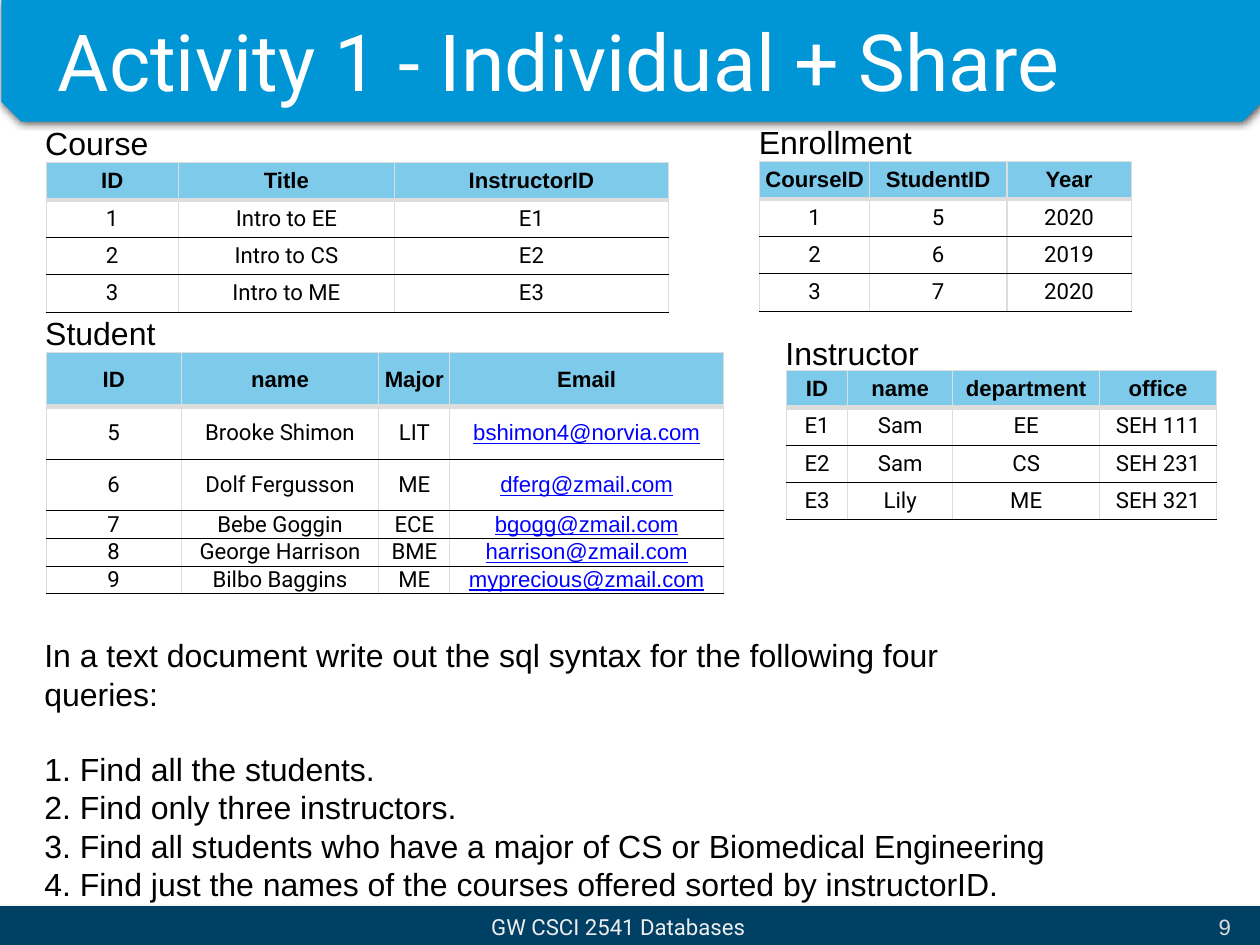
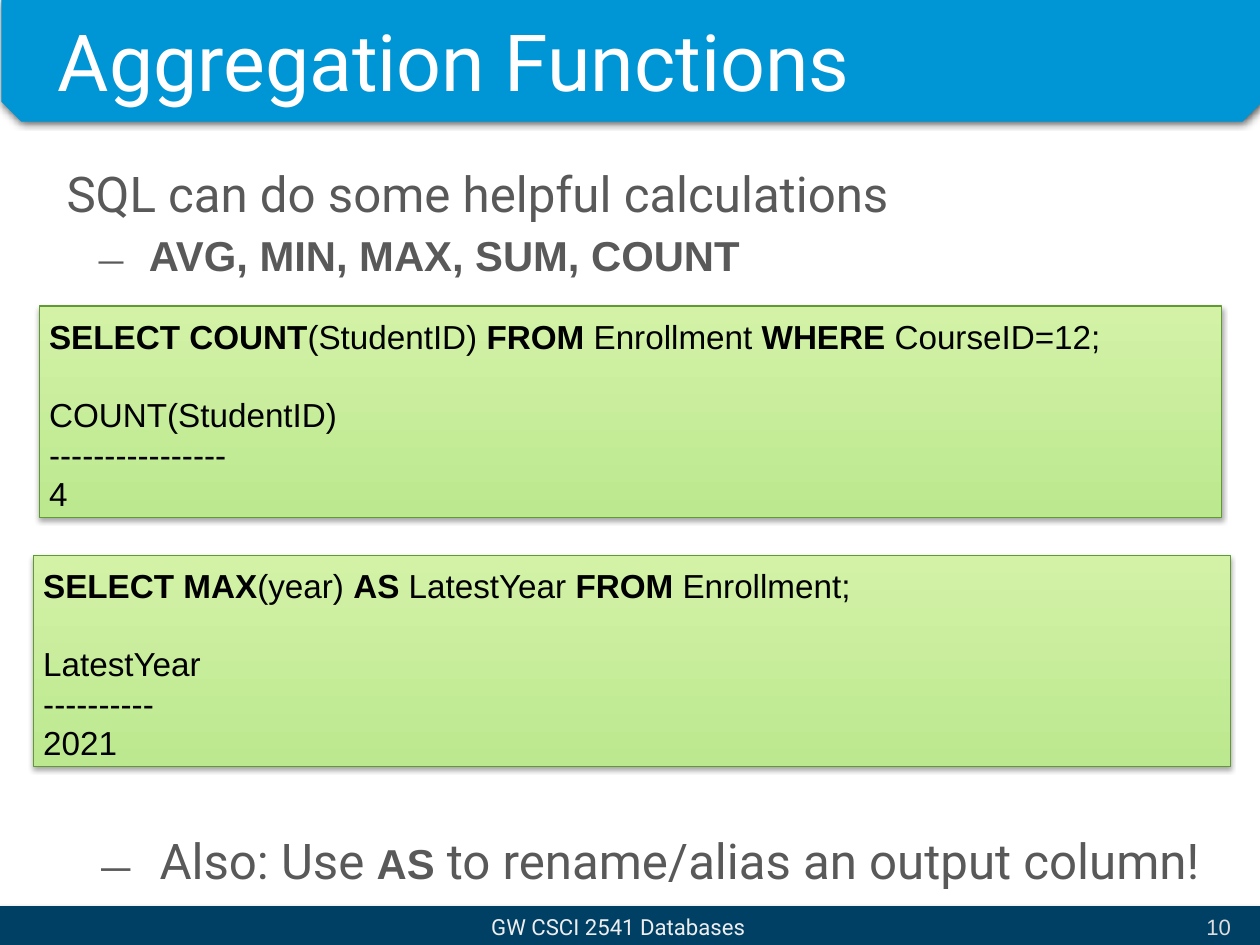
from dataclasses import dataclass

from lxml import etree
from pptx import Presentation
from pptx import util as u
from pptx.dml import color as dml
from pptx.enum import shapes, text
from pptx.oxml import ns

COLUMNS, ROWS = 128, 96
CELL = u.Inches(1) / 9


@dataclass(frozen=True)
class Theme:
    band: str = "0096D6"
    footer: str = "004065"
    footer_text: str = "EEEEEE"
    number: str = "DDDDDD"
    white: str = "FFFFFF"
    black: str = "000000"
    body: str = "595959"
    link: str = "0000FF"
    header: str = "7ECAEA"
    rule: str = "DDDDDD"
    code_bottom: str = "BCE88F"
    code_top: str = "D3F2A6"
    code_line: str = "619935"
    sans: str = "Arial"
    display: str = "Roboto"
    title_size: int = 64
    lead_size: int = 40
    keyword_size: int = 34
    code_size: int = 27
    text_size: int = 26
    small_size: int = 18


THEME = Theme()


def grid(cells):
    return u.Emu(round(cells * CELL))


def rgb(value):
    return dml.RGBColor.from_string(value)


def add_xml(parent, tag, **attributes):
    return etree.SubElement(parent, ns.qn(tag), {k: str(v) for k, v in attributes.items()})


def add_color(parent, value):
    return add_xml(parent, "a:srgbClr", val=value)


def add_shadow(shape, opacity, blur, distance, angle=0):
    shape.shadow.inherit = False
    effects = shape._element.spPr.find(ns.qn("a:effectLst"))
    shadow = add_xml(effects, "a:outerShdw", blurRad=u.Pt(blur), dist=u.Pt(distance),
                     dir=angle * 60000, algn="bl", rotWithShape=0)
    add_xml(add_color(shadow, THEME.black), "a:alpha", val=opacity * 1000)


def paint(shape, fill):
    shape.fill.solid()
    shape.fill.fore_color.rgb = rgb(fill)
    shape.line.color.rgb = rgb(fill)
    shape.line.width = u.Pt(1)


def add_bullet(paragraph, left, hang):
    properties = paragraph._p.get_or_add_pPr()
    properties.set("marL", str(u.Inches(left)))
    properties.set("indent", str(-u.Inches(hang)))
    add_color(add_xml(properties, "a:buClr"), THEME.body)
    add_xml(properties, "a:buFont", typeface=THEME.display)
    add_xml(properties, "a:buChar", char="﹘")


def write(frame, content, size=THEME.text_size, font=THEME.sans, color=THEME.black,
          bold=False, underline=False, align=text.PP_ALIGN.LEFT, before=0, spacing=None,
          bullet=None, strong_size=None):
    paragraph = frame.paragraphs[0] if not frame.text else frame.add_paragraph()
    if bullet:
        add_bullet(paragraph, *bullet)
    paragraph.alignment = align
    if before:
        paragraph.space_before = u.Pt(before)
    if spacing:
        paragraph.line_spacing = spacing
    for index, part in enumerate(content.split("**")):
        if not part:
            continue
        strong = index % 2 == 1
        run = paragraph.add_run()
        run.text = part
        run.font.size = u.Pt(strong_size or size) if strong else u.Pt(size)
        run.font.name = THEME.sans if strong else font
        run.font.bold = bold or strong
        run.font.underline = underline
        run.font.color.rgb = rgb(color)


def set_frame(shape, inset, anchor=text.MSO_ANCHOR.TOP):
    frame = shape.text_frame
    frame.word_wrap = True
    frame.vertical_anchor = anchor
    frame.margin_left = frame.margin_right = u.Inches(inset)
    frame.margin_top = frame.margin_bottom = u.Inches(inset)
    return frame


def add_frame(slide, box, inset=0.0, anchor=text.MSO_ANCHOR.TOP):
    return set_frame(slide.shapes.add_textbox(*map(grid, box)), inset, anchor)


def add_header(slide, title, box=(0.2, 0, 128, 12.3), cut=2):
    left, top, width, height = box
    right, bottom = left + width, top + height
    outline = [(right, top), (right, bottom - cut), (right - cut, bottom),
               (left + cut, bottom), (left, bottom - cut)]
    builder = slide.shapes.build_freeform(grid(left), grid(top))
    builder.add_line_segments([(grid(x), grid(y)) for x, y in outline], close=True)
    band = builder.convert_to_shape()
    paint(band, THEME.band)
    add_shadow(band, 71, 7, 0)
    frame = add_frame(slide, (left + 4.4, top, 119.2, 12.2), 0.14, text.MSO_ANCHOR.MIDDLE)
    write(frame, title, THEME.title_size, THEME.display, THEME.white)


def add_footer(slide, number, box=(-0.1, 92.1, 128.2, 4)):
    left, top, width, height = box
    bar = slide.shapes.add_shape(shapes.MSO_SHAPE.RECTANGLE, *map(grid, box))
    paint(bar, THEME.footer)
    add_shadow(bar, 37, 4, 2, 90)
    line = (top - 0.6, height + 1.2)
    frame = add_frame(slide, (left + 9.5, line[0], 106.8, line[1]), 0.14,
                      text.MSO_ANCHOR.MIDDLE)
    write(frame, "GW CSCI 2541 Databases", THEME.small_size, THEME.display,
          THEME.footer_text, align=text.PP_ALIGN.CENTER)
    frame = add_frame(slide, (left + width - 7.8, line[0], 6, line[1]), 0.14,
                      text.MSO_ANCHOR.MIDDLE)
    write(frame, str(number), THEME.small_size, color=THEME.number,
          align=text.PP_ALIGN.RIGHT)


def style_cell(cell, content, is_header):
    cell.fill.solid()
    cell.fill.fore_color.rgb = rgb(THEME.header if is_header else THEME.white)
    cell.vertical_anchor = text.MSO_ANCHOR.MIDDLE
    cell.margin_left = cell.margin_right = cell.margin_top = cell.margin_bottom = 0
    is_email = "@" in content
    write(cell.text_frame, content, THEME.small_size,
          THEME.sans if is_header or is_email else THEME.display,
          THEME.link if is_email else THEME.black, bold=is_header,
          underline=is_email, align=text.PP_ALIGN.CENTER)


def set_borders(cell, row):
    rule, black = (THEME.rule, 1), (THEME.black, 0.75)
    top = rule if row == 0 else (THEME.rule, 4) if row == 1 else black
    bottom = (THEME.rule, 4) if row == 0 else black
    properties = cell._tc.get_or_add_tcPr()
    sides = zip(("a:lnL", "a:lnR", "a:lnT", "a:lnB"), (rule, rule, top, bottom))
    for position, (tag, (color, width)) in enumerate(sides):
        border = add_xml(properties, tag, w=u.Pt(width))
        add_color(add_xml(border, "a:solidFill"), color)
        properties.insert(position, border)


def add_relation(slide, name, left, top, widths, records, heights=None, name_gap=4):
    heights = heights or [3.8] * len(records)
    write(add_frame(slide, (left - 0.1, top - name_gap, 20, name_gap)), name)
    box = (left, top, sum(widths), sum(heights))
    table = slide.shapes.add_table(len(records), len(widths), *map(grid, box)).table
    table.first_row = table.horz_banding = False
    for column, width in zip(table.columns, widths):
        column.width = grid(width)
    for row, (height, record) in enumerate(zip(heights, records)):
        table.rows[row].height = grid(height)
        for column, content in enumerate(record):
            cell = table.cell(row, column)
            style_cell(cell, content, row == 0)
            set_borders(cell, row)


def add_code(slide, box, lines):
    panel = slide.shapes.add_shape(shapes.MSO_SHAPE.RECTANGLE, *map(grid, box))
    panel.fill.gradient()
    panel.fill.gradient_angle = 90
    for stop, color, position in zip(panel.fill.gradient_stops,
                                     (THEME.code_bottom, THEME.code_top), (0, 1)):
        stop.color.rgb = rgb(color)
        stop.position = position
    panel.line.color.rgb = rgb(THEME.code_line)
    panel.line.width = u.Pt(1)
    add_shadow(panel, 34, 4, 2, 90)
    frame = set_frame(panel, 0.11)
    for index, line in enumerate(lines):
        write(frame, line, THEME.code_size, before=31 if index == 1 else 0)


def add_slide(presentation, title, number):
    slide = presentation.slides.add_slide(presentation.slide_layouts[6])
    add_header(slide, title)
    add_footer(slide, number)
    return slide


def build_activity(presentation):
    slide = add_slide(presentation, "Activity 1 - Individual + Share", 9)
    add_relation(slide, "Course", 4.7, 16.5, [13.4, 22, 27.8], [
        ("ID", "Title", "InstructorID"),
        ("1", "Intro to EE", "E1"),
        ("2", "Intro to CS", "E2"),
        ("3", "Intro to ME", "E3")])
    add_relation(slide, "Enrollment", 77.2, 16.4, [11.1, 14, 12.6], [
        ("CourseID", "StudentID", "Year"),
        ("1", "5", "2020"),
        ("2", "6", "2019"),
        ("3", "7", "2020")])
    add_relation(slide, "Student", 4.7, 35.8, [13.7, 20.1, 7.2, 27.8], [
        ("ID", "name", "Major", "Email"),
        ("5", "Brooke Shimon", "LIT", "bshimon4@norvia.com"),
        ("6", "Dolf Fergusson", "ME", "dferg@zmail.com"),
        ("7", "Bebe Goggin", "ECE", "bgogg@zmail.com"),
        ("8", "George Harrison", "BME", "harrison@zmail.com"),
        ("9", "Bilbo Baggins", "ME", "myprecious@zmail.com")],
        heights=[5.5, 5.4, 5.2, 2.8, 2.8, 2.8])
    add_relation(slide, "Instructor", 79.9, 37.6, [6.2, 10.7, 14.9, 11.9], [
        ("ID", "name", "department", "office"),
        ("E1", "Sam", "EE", "SEH 111"),
        ("E2", "Sam", "CS", "SEH 231"),
        ("E3", "Lily", "ME", "SEH 321")], name_gap=3.7)
    frame = add_frame(slide, (4.5, 64.6, 102.3, 27))
    write(frame, "In a text document write out the sql syntax for the following four queries:")
    queries = ("1. Find all the students.",
               "2. Find only three instructors.",
               "3. Find all students who have a major of CS or Biomedical Engineering",
               "4. Find just the names of the courses offered sorted by instructorID.")
    for index, query in enumerate(queries):
        write(frame, query, before=0 if index else 30)


def build_aggregation(presentation):
    slide = add_slide(presentation, "Aggregation Functions", 10)
    body = dict(size=THEME.lead_size, font=THEME.display, color=THEME.body,
                spacing=1.15, strong_size=THEME.keyword_size)
    frame = add_frame(slide, (5.5, 14.4, 120.3, 16), 0.14)
    write(frame, "SQL can do some helpful calculations", **body)
    write(frame, "**AVG, MIN, MAX, SUM, COUNT**", bullet=(0.93, 0.66), **body)
    add_code(slide, (4, 31.1, 120.1, 21.5), [
        "**SELECT COUNT**(StudentID) **FROM** Enrollment **WHERE** CourseID=12;",
        "COUNT(StudentID)", "----------------", "4"])
    add_code(slide, (3.4, 56.4, 121.6, 21.5), [
        "**SELECT MAX**(year) **AS** LatestYear **FROM** Enrollment;",
        "LatestYear", "----------", "2021"])
    frame = add_frame(slide, (5.5, 82.2, 120.3, 9.5), 0.14)
    write(frame, "Also: Use **AS** to rename/alias an output column!",
          bullet=(1.05, 0.77), **body)


def main():
    presentation = Presentation()
    presentation.slide_width, presentation.slide_height = grid(COLUMNS), grid(ROWS)
    build_activity(presentation)
    build_aggregation(presentation)
    presentation.save("out.pptx")


if __name__ == "__main__":
    main()
